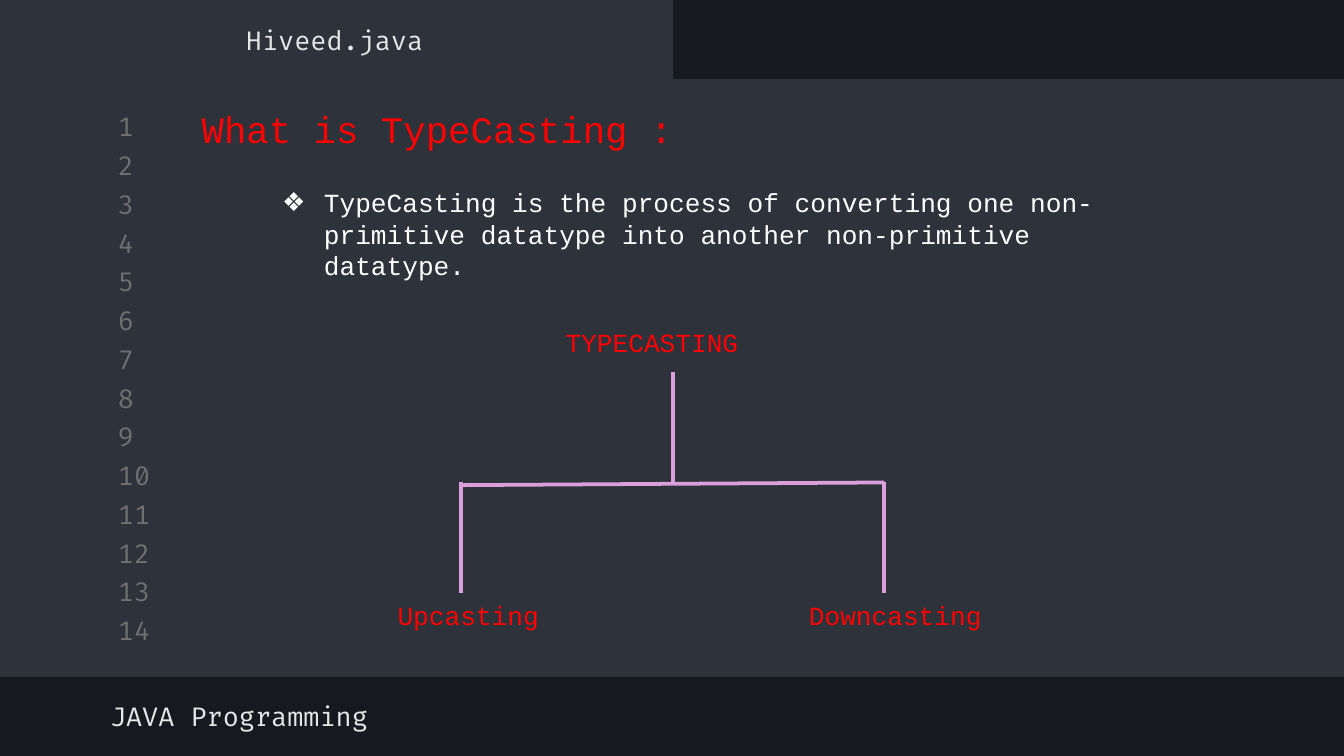
from lxml import etree
from pptx import Presentation
from pptx.dml.color import RGBColor
from pptx.enum.shapes import MSO_CONNECTOR, MSO_SHAPE
from pptx.enum.text import MSO_ANCHOR, MSO_AUTO_SIZE, PP_ALIGN
from pptx.oxml.ns import qn
from pptx.util import Inches, Pt

STRAIGHT = MSO_CONNECTOR.STRAIGHT
RECTANGLE = MSO_SHAPE.RECTANGLE
TOP, MIDDLE = MSO_ANCHOR.TOP, MSO_ANCHOR.MIDDLE
NO_AUTOFIT = MSO_AUTO_SIZE.NONE
LEFT, CENTER = PP_ALIGN.LEFT, PP_ALIGN.CENTER

CODE_FONT, TEXT_FONT = "Fira Code", "Courier New"
DARK, PANEL, GRAY, LIGHT = "16191F", "2E323B", "707070", "E7E7E7"
RED, WHITE, LILAC = "FF0000", "FFFFFF", "DBA0DB"


def color(value):
    """Turn a hex string into a colour."""
    return RGBColor.from_string(value)


def place(sp, box):
    """Move a shape to a box of left, top, width, height in inches."""
    sp.left, sp.top, sp.width, sp.height = map(Inches, box)


def write(sp, text, size, font, hue, anchor=TOP, align=LEFT, inset=0.05):
    """Write one formatted run into a shape and return its paragraph."""
    tf = sp.text_frame
    tf.word_wrap = True
    tf.auto_size = NO_AUTOFIT
    tf.vertical_anchor = anchor
    tf.margin_left = tf.margin_right = Inches(0.1)
    tf.margin_top = tf.margin_bottom = Inches(inset)
    p = tf.paragraphs[0]
    p.alignment = align
    p.space_before = Pt(0)
    r = p.add_run()
    r.text = text
    r.font.size = Pt(size)
    r.font.name = font
    r.font.color.rgb = color(hue)
    return p


def add_panel(s, box):
    """Add a flat editor panel."""
    sp = s.shapes.add_shape(RECTANGLE, *map(Inches, box))
    sp.shadow.inherit = False
    sp.fill.solid()
    sp.fill.fore_color.rgb = color(PANEL)
    sp.line.color.rgb = color(PANEL)
    sp.line.width = Pt(0.75)


def add_label(s, box, text, **style):
    """Add a text box with one styled line."""
    sp = s.shapes.add_textbox(*map(Inches, box))
    write(sp, text, 14, **style)


def add_editor_text(s, box, text, hue=LIGHT, align=LEFT):
    """Add a line of editor text centred vertically in the box."""
    add_label(s, box, text, font=CODE_FONT, hue=hue, anchor=MIDDLE,
              align=align, inset=0.1)


def add_line_numbers(s, box, count):
    """Spread the line numbers evenly down the box."""
    x, y, w, h = box
    row = 0.24
    pitch = (h - row) / (count - 1)
    for i in range(count):
        add_editor_text(s, (x, y + i * pitch, w, row), str(i + 1), GRAY)


def fill_title(s, box, text):
    """Place the title placeholder above the panels and fill it."""
    sp = s.shapes.title
    s.shapes.element.append(sp.element)
    place(sp, box)
    write(sp, text, 20, TEXT_FONT, RED)


def fill_definition(s, box, text):
    """Place the body placeholder above the panels with a bulleted text."""
    sp = s.placeholders[1]
    s.shapes.element.append(sp.element)
    place(sp, box)
    p = write(sp, text, 14, TEXT_FONT, WHITE)
    pPr = p._p.get_or_add_pPr()
    pPr.set("marL", str(Inches(0.31)))
    pPr.set("indent", str(-Inches(0.31)))
    bullet_color = etree.SubElement(pPr, qn("a:buClr"))
    etree.SubElement(bullet_color, qn("a:srgbClr"), val=WHITE)
    etree.SubElement(pPr, qn("a:buChar"), char="❖")


def add_branch(s, start, end):
    """Draw one straight line of the tree."""
    line = s.shapes.add_connector(STRAIGHT, *map(Inches, start + end))
    line.line.color.rgb = color(LILAC)
    line.line.width = Pt(2)
    etree.SubElement(line._element.spPr, qn("a:effectLst"))


def add_tree(s, box):
    """Draw the typecasting tree with its root and two leaves."""
    x, y, w, h = box
    left, right = x + 0.57, x + 3.72
    center = (left + right) / 2
    bar, leaf = y + 1.21, y + h - 0.34
    add_branch(s, (center, y + 0.39), (center, bar))
    add_branch(s, (left, bar + 0.02), (right, bar))
    for end in (left, right):
        add_branch(s, (end, bar), (end, leaf))
    for dx, top, width, text in ((1.25, y, 2.36, "TYPECASTING"),
                                 (0, leaf, 1.43, "Upcasting"),
                                 (w - 1.51, leaf, 1.51, "Downcasting")):
        add_label(s, (x + dx, top, width, 0.34), text, font=TEXT_FONT, hue=RED)


def main():
    """Build and save the slide."""
    prs = Presentation()
    prs.slide_width, prs.slide_height = Inches(10), Inches(10 * 9 / 16)
    s = prs.slides.add_slide(prs.slide_layouts[1])
    s.background.fill.solid()
    s.background.fill.fore_color.rgb = color(DARK)
    add_panel(s, (0, 0.59, 10, 4.44))
    add_panel(s, (0, 0, 5, 0.65))
    add_line_numbers(s, (0.78, 0.82, 0.47, 3.99), 14)
    add_editor_text(s, (0.72, 5.13, 5.32, 0.39), "JAVA Programming")
    add_editor_text(s, (-0.01, 0.1, 5, 0.39), "Hiveed.java", align=CENTER)
    fill_title(s, (1.4, 0.74, 4.95, 0.44), "What is TypeCasting :")
    fill_definition(s, (2, 1.34, 6.58, 0.57),
                    "TypeCasting is the process of converting one "
                    "non-primitive datatype into another non-primitive "
                    "datatype.")
    add_tree(s, (2.86, 2.38, 4.57, 2.37))
    prs.save("out.pptx")


if __name__ == "__main__":
    main()
